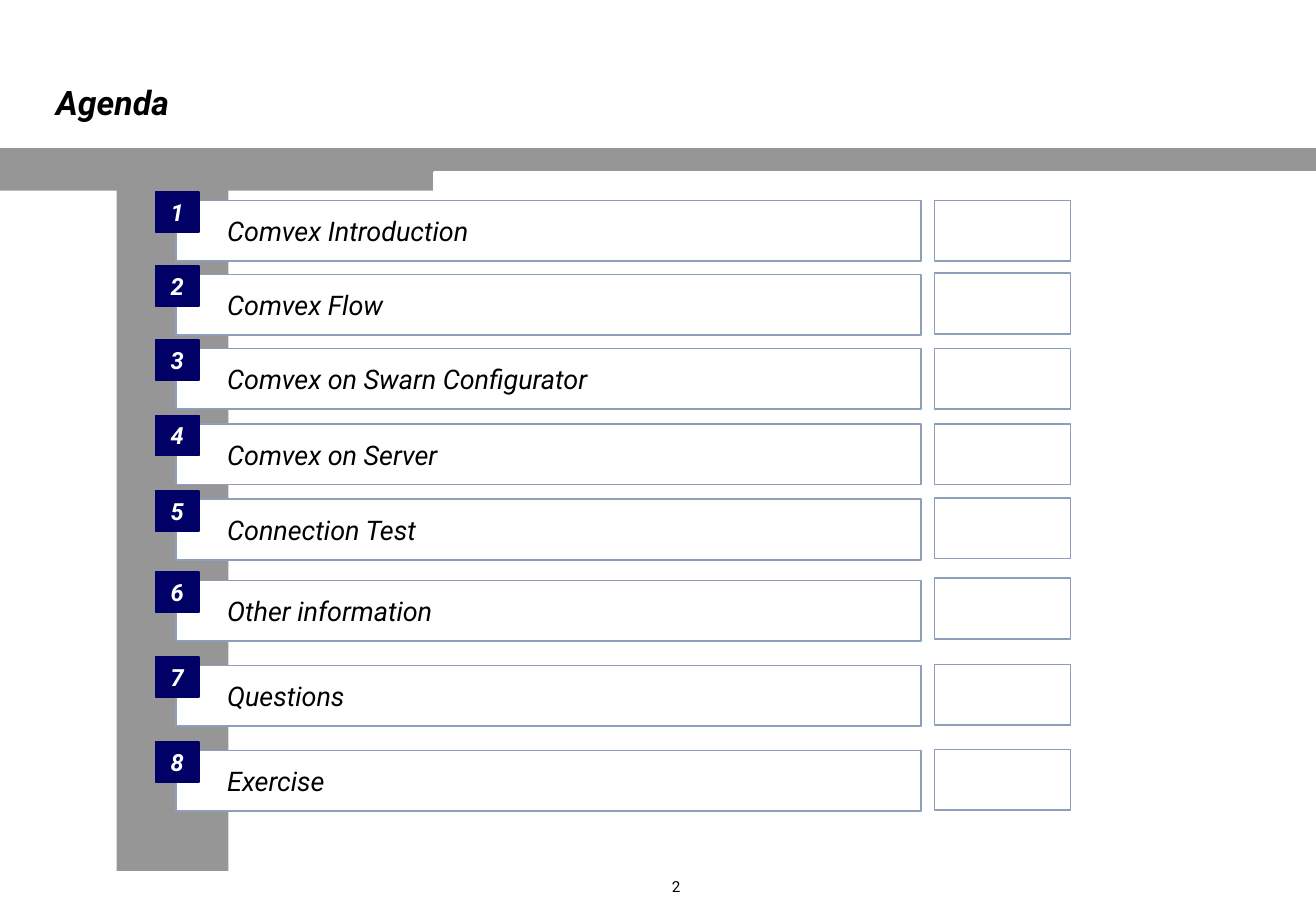
from dataclasses import dataclass
from pptx import Presentation
from pptx.dml.color import RGBColor
from pptx.enum.shapes import MSO_SHAPE
from pptx.enum.text import MSO_ANCHOR, MSO_AUTO_SIZE, PP_ALIGN
from pptx.shapes.autoshape import Shape
from pptx.slide import Slide
from pptx.util import Inches, Pt


@dataclass(frozen=True)
class Theme:
    font: str = "Roboto"
    black: str = "000000"
    white: str = "FFFFFF"
    gray: str = "969696"
    navy: str = "000066"
    edge: str = "8D9FB9"
    title: int = 20
    item: int = 16
    badge: int = 14
    page: int = 9


@dataclass(frozen=True)
class Box:
    left: float
    top: float
    width: float
    height: float


@dataclass(frozen=True)
class Topic:
    label: str
    top: float
    side: float


THEME = Theme()
TOPICS = [
    Topic("Comvex Introduction", 1.65, 1.65),
    Topic("Comvex Flow", 2.26, 2.25),
    Topic("Comvex on Swarn Configurator", 2.87, 2.87),
    Topic("Comvex on Server", 3.49, 3.49),
    Topic("Connection Test", 4.11, 4.1),
    Topic("Other information", 4.78, 4.76),
    Topic("Questions", 5.48, 5.47),
    Topic("Exercise", 6.18, 6.17),
]


def place(shape: Shape, box: Box) -> None:
    shape.left, shape.top = Inches(box.left), Inches(box.top)
    shape.width, shape.height = Inches(box.width), Inches(box.height)


def draw(slide: Slide, box: Box, fill: str, line: str = "", weight: float = 1) -> Shape:
    shape = slide.shapes.add_shape(MSO_SHAPE.RECTANGLE, 0, 0, 0, 0)
    place(shape, box)
    shape.shadow.inherit = False
    shape.fill.solid()
    shape.fill.fore_color.rgb = RGBColor.from_string(fill)
    if line:
        shape.line.color.rgb = RGBColor.from_string(line)
        shape.line.width = Pt(weight)
    else:
        shape.line.fill.background()
    return shape


def write(shape: Shape, text: str, size: int, color: str = THEME.black,
          align: PP_ALIGN = PP_ALIGN.LEFT, anchor: MSO_ANCHOR = MSO_ANCHOR.MIDDLE,
          inset: float = 0, bold: bool = False, italic: bool = True) -> None:
    frame = shape.text_frame
    frame.word_wrap = True
    frame.auto_size = MSO_AUTO_SIZE.NONE
    frame.vertical_anchor = anchor
    frame.margin_left = Inches(inset)
    frame.margin_right = frame.margin_top = frame.margin_bottom = 0
    line = frame.paragraphs[0]
    line.alignment = align
    run = line.add_run()
    run.text = text
    font = run.font
    font.name, font.size = THEME.font, Pt(size)
    font.bold, font.italic = bold, italic
    font.color.rgb = RGBColor.from_string(color)


def frame_page(slide: Slide) -> None:
    draw(slide, Box(0, 1.22, 10.83, 0.35), THEME.gray)
    draw(slide, Box(3.57, 1.42, 7.26, 0.29), THEME.white, THEME.white, 1.5)
    draw(slide, Box(0.96, 1.28, 0.92, 5.89), THEME.gray)
    title = slide.shapes.title
    place(title, Box(0.11, 0.67, 7.86, 0.75))
    write(title, "Agenda", THEME.title, anchor=MSO_ANCHOR.TOP, inset=0.35, bold=True)
    page = slide.shapes.add_textbox(0, 0, 0, 0)
    place(page, Box(4.04, 7.25, 1.56, 0.1))
    write(page, "2", THEME.page, align=PP_ALIGN.RIGHT, italic=False)


def add_topic(slide: Slide, number: int, topic: Topic) -> None:
    bar = draw(slide, Box(1.45, topic.top, 6.13, 0.5), THEME.white, THEME.edge)
    write(bar, topic.label, THEME.item, inset=0.42)
    badge = draw(slide, Box(1.28, topic.top - 0.07, 0.36, 0.33), THEME.navy, THEME.navy)
    write(badge, str(number), THEME.badge, THEME.white, PP_ALIGN.CENTER, bold=True)
    draw(slide, Box(7.69, topic.side, 1.12, 0.5), THEME.white, THEME.edge)


def main() -> None:
    deck = Presentation()
    deck.slide_width, deck.slide_height = Inches(10.83), Inches(7.5)
    slide = deck.slides.add_slide(deck.slide_layouts[5])
    frame_page(slide)
    for number, topic in enumerate(TOPICS, 1):
        add_topic(slide, number, topic)
    deck.save("out.pptx")


if __name__ == "__main__":
    main()
